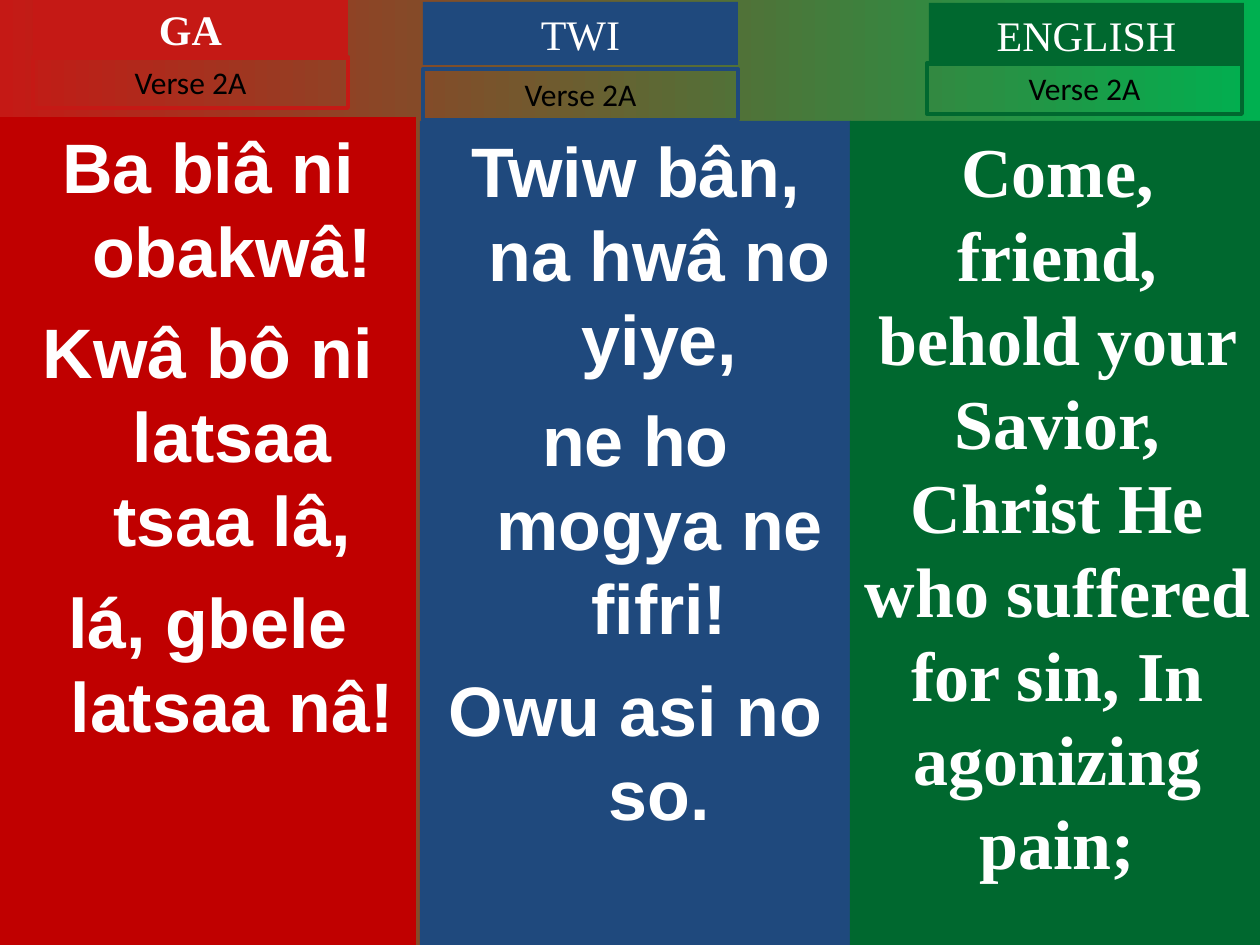
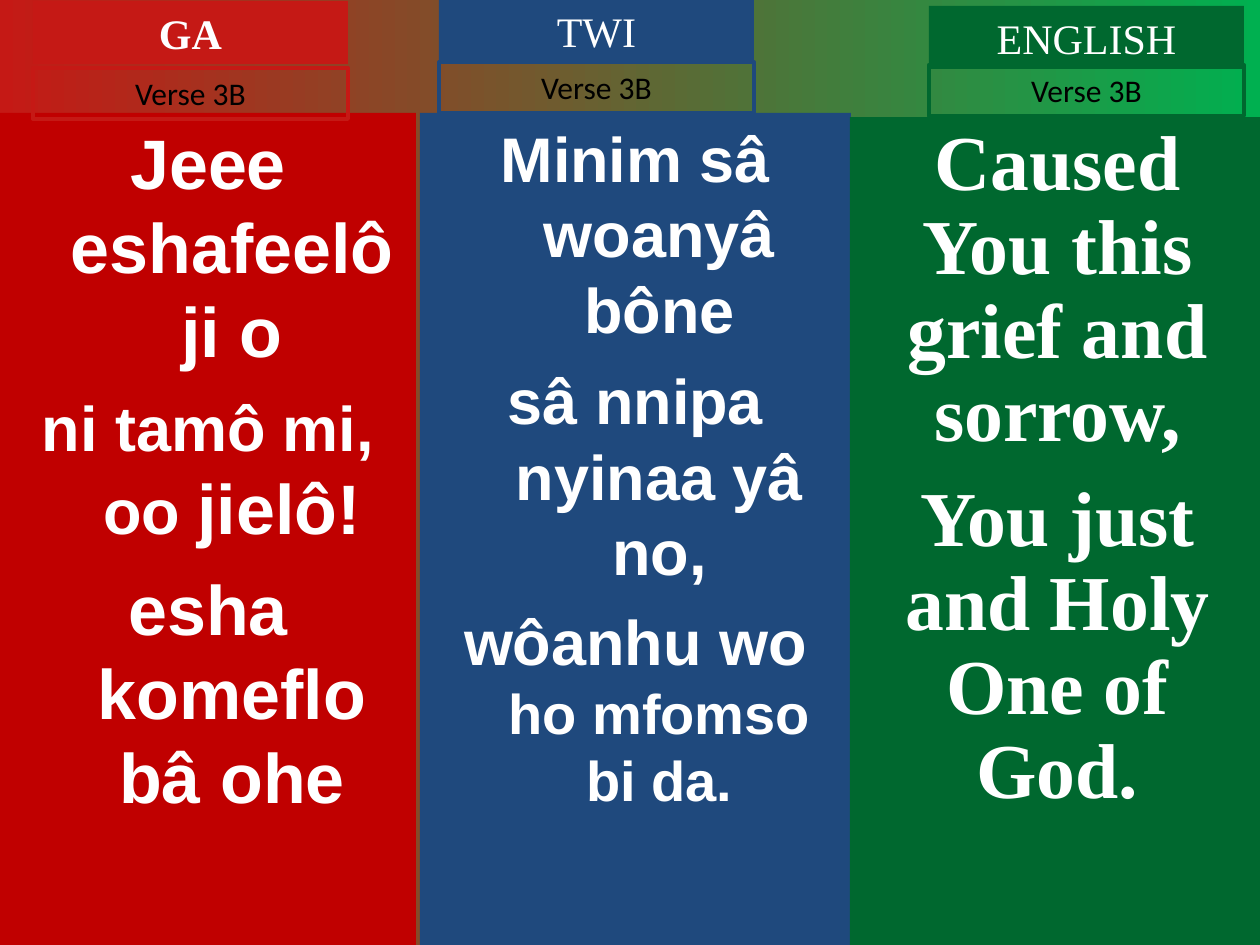
import pptx
import pptx.util
import pptx.dml.color
import pptx.enum.shapes
import pptx.enum.text
from dataclasses import dataclass

RGBColor = pptx.dml.color.RGBColor
WHITE = RGBColor(0xFF, 0xFF, 0xFF)
BLACK = RGBColor(0, 0, 0)
CRIMSON = RGBColor(0xC0, 0x00, 0x00)
RED = RGBColor(0xC5, 0x19, 0x15)
BLUE = RGBColor(0x1F, 0x49, 0x7D)
GREEN = RGBColor(0x00, 0x68, 0x2F)
BRIGHT_GREEN = RGBColor(0x00, 0xB0, 0x50)

SERIF, SANS, LABEL = "Times New Roman", "Arial", "Calibri"
PX_PER_INCH = 126
SLIDE_W, SLIDE_H = 1260, 945
HEAD_W, HEAD_H, VERSE_H = 315, 63, 51
HANGING = 48


def px(length):
    return pptx.util.Emu(round(length * 914400 / PX_PER_INCH))


@dataclass
class Language:
    name: str
    panel_color: RGBColor
    head_color: RGBColor
    left: int
    width: int
    font: str = SANS
    hanging: int = HANGING
    bold_name: bool = False


LANGUAGES = [
    Language("GA", CRIMSON, RED, 0, 416, bold_name=True),
    Language("TWI", BLUE, BLUE, 420, 431),
    Language("ENGLISH", GREEN, GREEN, 850, 415, font=SERIF, hanging=0),
]


@dataclass
class Lyrics:
    """One language's part of a verse; each line is a list of (words, size)."""
    panel_top: int
    head_at: tuple
    verse_at: tuple
    lines: list
    gaps: tuple = (10, 10, 10)
    spacing: float = 1.0


VERSES = [
    ("Verse 2A", [
        Lyrics(117, (33, -3), (33, 57), [
            [("Ba biâ ni obakwâ!", 40)],
            [("Kwâ bô ni latsaa tsaa lâ,", 40)],
            [("lá, gbele latsaa nâ!", 40)]]),
        Lyrics(121, (423, 2), (423, 69), [
            [("Twiw bân, na hwâ no yiye,", 40)],
            [("ne ho mogya ne fifri!", 40)],
            [("Owu asi no so.", 40)]]),
        Lyrics(121, (929, 3), (927, 63), [
            [("Come, friend, behold your Savior, Christ He who suffered "
              "for sin, In agonizing pain;", 40)]]),
    ]),
    ("Verse 3B", [
        Lyrics(113, (33, 1), (33, 68), [
            [("Jeee eshafeelô ji o", 40)],
            [("ni tamô mi, oo ", 36), ("jielô!", 40)],
            [("esha komeflo bâ ohe", 40)]]),
        Lyrics(113, (439, -1), (439, 62), [
            [("Minim sâ woanyâ bône", 36)],
            [("sâ nnipa nyinaa yâ no,", 36)],
            [("wôanhu wo ", 36), ("ho mfomso bi da.", 32)]],
            gaps=(9, 9, 8)),
        Lyrics(117, (929, 6), (929, 65), [
            [("Caused You this grief and sorrow,", 44.4)],
            [("You just and Holy One of God.", 44.4)]],
            gaps=(12, 12), spacing=0.9),
    ]),
]


def write(paragraph, text, *, size, font, color, bold=False):
    run = paragraph.add_run()
    run.text = text
    run.font.size = pptx.util.Pt(size)
    run.font.name = font
    run.font.color.rgb = color
    run.font.bold = bold


class HymnDeck:
    def __init__(self):
        self.deck = pptx.Presentation()
        self.deck.slide_width, self.deck.slide_height = px(SLIDE_W), px(SLIDE_H)
        self.slide = None

    def new_slide(self):
        self.slide = self.deck.slides.add_slide(self.deck.slide_layouts[6])
        fill = self.slide.background.fill
        fill.gradient()
        fill.gradient_angle = 0
        for stop, color in zip(fill.gradient_stops, (RED, BRIGHT_GREEN)):
            stop.color.rgb = color

    def block(self, left, top, width, height, *, fill=None, outline=None):
        """Add a rectangle and return its text frame."""
        rect = self.slide.shapes.add_shape(
            pptx.enum.shapes.MSO_SHAPE.RECTANGLE,
            px(left), px(top), px(width), px(height))
        rect.shadow.inherit = False
        if fill is None:
            rect.fill.background()
        else:
            rect.fill.solid()
            rect.fill.fore_color.rgb = fill
        if outline is None:
            rect.line.fill.background()
        else:
            rect.line.color.rgb = outline
            rect.line.width = pptx.util.Pt(2.25)
        frame = rect.text_frame
        frame.word_wrap = True
        frame.vertical_anchor = pptx.enum.text.MSO_ANCHOR.TOP
        frame.paragraphs[0].alignment = pptx.enum.text.PP_ALIGN.CENTER
        return frame

    def panel(self, language, lyrics):
        frame = self.block(language.left, lyrics.panel_top, language.width,
                           SLIDE_H - lyrics.panel_top, fill=language.panel_color)
        for index, (line, gap) in enumerate(zip(lyrics.lines, lyrics.gaps)):
            paragraph = frame.add_paragraph() if index else frame.paragraphs[0]
            paragraph.alignment = pptx.enum.text.PP_ALIGN.CENTER
            paragraph.line_spacing = lyrics.spacing
            if index:
                paragraph.space_before = pptx.util.Pt(gap)
            if language.hanging:
                properties = paragraph._p.get_or_add_pPr()
                properties.set("marL", str(px(language.hanging)))
                properties.set("indent", str(-px(language.hanging)))
            for words, size in line:
                write(paragraph, words, size=size, font=language.font,
                      color=WHITE, bold=True)

    def heading(self, language, at):
        frame = self.block(*at, HEAD_W, HEAD_H, fill=language.head_color)
        write(frame.paragraphs[0], language.name, size=24, font=SERIF,
              color=WHITE, bold=language.bold_name)

    def verse_label(self, language, at, verse):
        frame = self.block(*at, HEAD_W, VERSE_H, outline=language.head_color)
        write(frame.paragraphs[0], verse, size=18, font=LABEL, color=BLACK)


def main():
    hymn = HymnDeck()
    for verse, parts in VERSES:
        hymn.new_slide()
        for language, lyrics in zip(LANGUAGES, parts):
            hymn.panel(language, lyrics)
        for language, lyrics in zip(LANGUAGES, parts):
            hymn.heading(language, lyrics.head_at)
            hymn.verse_label(language, lyrics.verse_at, verse)
    hymn.deck.save("out.pptx")


if __name__ == "__main__":
    main()
